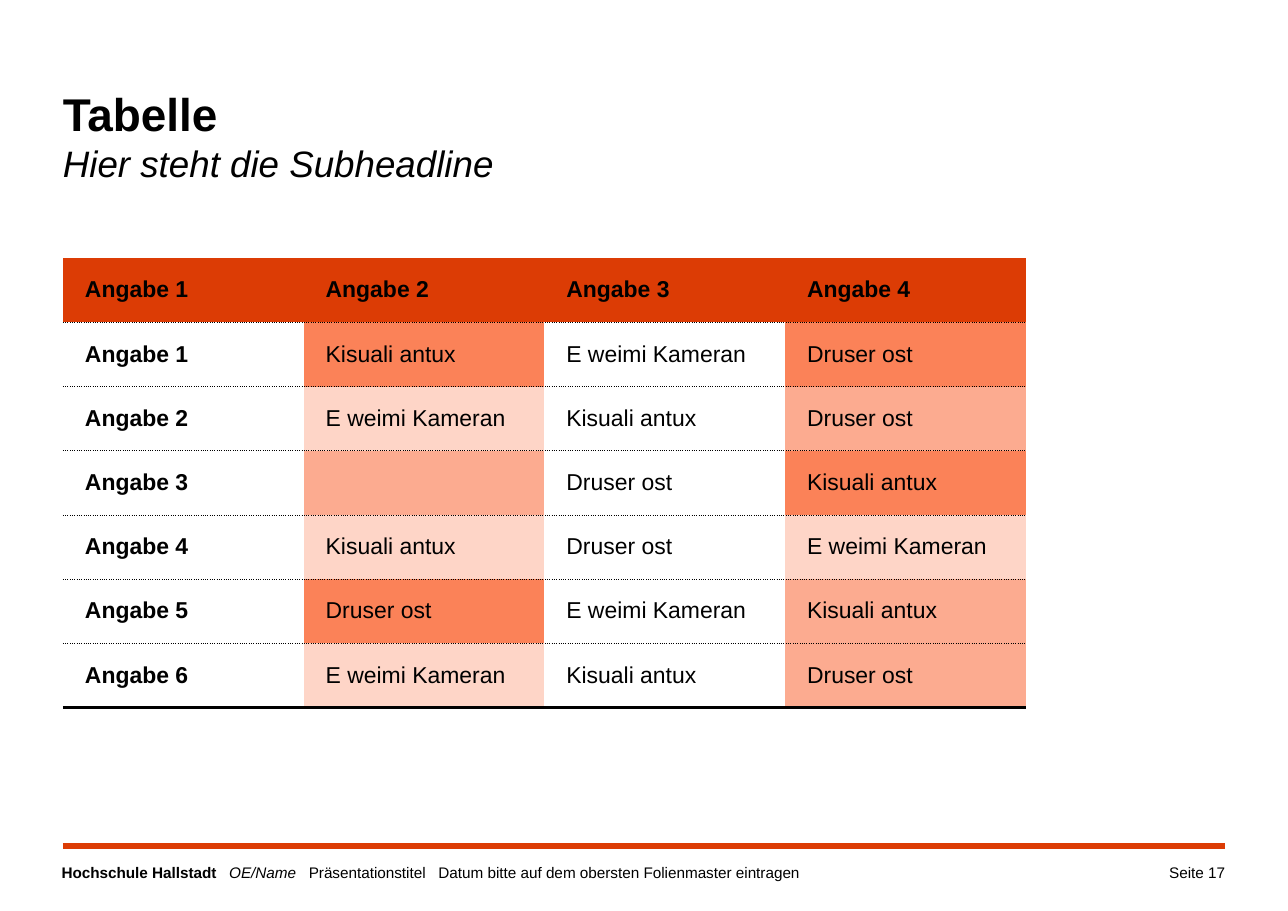
"""Build a slide with a heat-coloured table, a headline and a footer."""
from lxml.etree import SubElement
from pptx import Presentation
from pptx.dml.color import RGBColor
from pptx.enum.shapes import MSO_CONNECTOR as Link
from pptx.enum.text import MSO_ANCHOR as Anchor, MSO_AUTO_SIZE as Fit, PP_ALIGN as Align
from pptx.oxml import parse_xml
from pptx.oxml.ns import nsdecls, qn
from pptx.util import Cm, Pt

BLACK, RED = "000000", "DC3C05"
DARK, MID, PALE = "FB8258", "FCAB90", "FED5C7"
LEFT, WIDE = 1.45, 26.8
NO_STYLE = "{2D5ABB26-0587-4C30-8999-92F81FD0307C}"


def write(frame, text, size=10, bold=False, italic=False, align=Align.LEFT, space=1.0):
    para = frame.paragraphs[0]
    para.alignment, para.line_spacing = align, space
    run = para.add_run()
    run.text = text
    font = run.font
    font.name, font.size, font.bold, font.italic = "Arial", Pt(size), bold, italic
    font.color.rgb = RGBColor.from_string(BLACK)
    return para


def setup(frame, top=0):
    frame.margin_left = frame.margin_right = frame.margin_bottom = 0
    frame.margin_top = Cm(top)
    frame.word_wrap, frame.auto_size = True, Fit.NONE
    frame.vertical_anchor = Anchor.TOP
    return frame


deck = Presentation()
deck.slide_width, deck.slide_height = Cm(29.7), Cm(21)
slide = deck.slides.add_slide(deck.slide_layouts[5])
shapes = slide.shapes

title = shapes.title
title.left, title.top, title.width, title.height = Cm(LEFT), Cm(1.85), Cm(WIDE), Cm(2.65)
head = setup(title.text_frame, top=0.12)
write(head, "Tabelle", size=30, bold=True).add_line_break()
write(head, "Hier steht die Subheadline", size=24, italic=True)

rows = [
    [("Angabe 1", RED), ("Angabe 2", RED), ("Angabe 3", RED), ("Angabe 4", RED)],
    [("Angabe 1", None), ("Kisuali antux", DARK), ("E weimi Kameran", None), ("Druser ost", DARK)],
    [("Angabe 2", None), ("E weimi Kameran", PALE), ("Kisuali antux", None), ("Druser ost", MID)],
    [("Angabe 3", None), ("", MID), ("Druser ost", None), ("Kisuali antux", DARK)],
    [("Angabe 4", None), ("Kisuali antux", PALE), ("Druser ost", None), ("E weimi Kameran", PALE)],
    [("Angabe 5", None), ("Druser ost", DARK), ("E weimi Kameran", None), ("Kisuali antux", MID)],
    [("Angabe 6", None), ("E weimi Kameran", PALE), ("Kisuali antux", None), ("Druser ost", MID)],
]
last = len(rows) - 1
grid = shapes.add_table(len(rows), 4, Cm(LEFT), Cm(5.95), Cm(4 * 5.55), Cm(7 * 1.48)).table
grid.first_row = grid.horz_banding = False
grid._tbl.tblPr.find(qn("a:tableStyleId")).text = NO_STYLE
for col in grid.columns:
    col.width = Cm(5.55)

for r, row in enumerate(rows):
    grid.rows[r].height = Cm(1.48)
    for c, (text, fill) in enumerate(row):
        cell = grid.cell(r, c)
        if text:
            cell.margin_left = cell.margin_right = Cm(0.51)
            cell.margin_top = cell.margin_bottom = Cm(0.38)
            write(cell.text_frame, text, size=15, bold=r == 0 or c == 0, space=1.1)
        if fill:
            cell.fill.solid()
            cell.fill.fore_color.rgb = RGBColor.from_string(fill)
        else:
            cell.fill.background()
        edges = [("lnB", 2.25, "solid") if r == last else ("lnB", 0.5, "sysDot")]
        if r:
            edges.append(("lnT", 0.5, "sysDot"))
        for side, width, dash in edges:
            cell._tc.get_or_add_tcPr().insert(0, parse_xml(
                f'<a:{side} {nsdecls("a")} w="{Pt(width)}"><a:solidFill>'
                f'<a:srgbClr val="{BLACK}"/></a:solidFill>'
                f'<a:prstDash val="{dash}"/></a:{side}>'))

rule = shapes.add_connector(Link.STRAIGHT, Cm(LEFT), Cm(19.5), Cm(LEFT + WIDE), Cm(19.5))
rule.line.color.rgb = RGBColor.from_string(RED)
rule.line.width = Pt(4)
SubElement(rule._element.spPr, qn("a:effectLst"))

foot = setup(shapes.add_textbox(Cm(1.42), Cm(19.91), Cm(21.44), Cm(0.61)).text_frame)
write(foot, "Hochschule Hallstadt   ", bold=True)
write(foot, "OE/Name   ", italic=True)
write(foot, "Präsentationstitel   Datum bitte auf dem obersten Folienmaster eintragen")

page = setup(shapes.add_textbox(Cm(24.85), Cm(19.91), Cm(3.4), Cm(0.63)).text_frame)
write(page, "Seite 17", align=Align.RIGHT)

deck.save("out.pptx")
